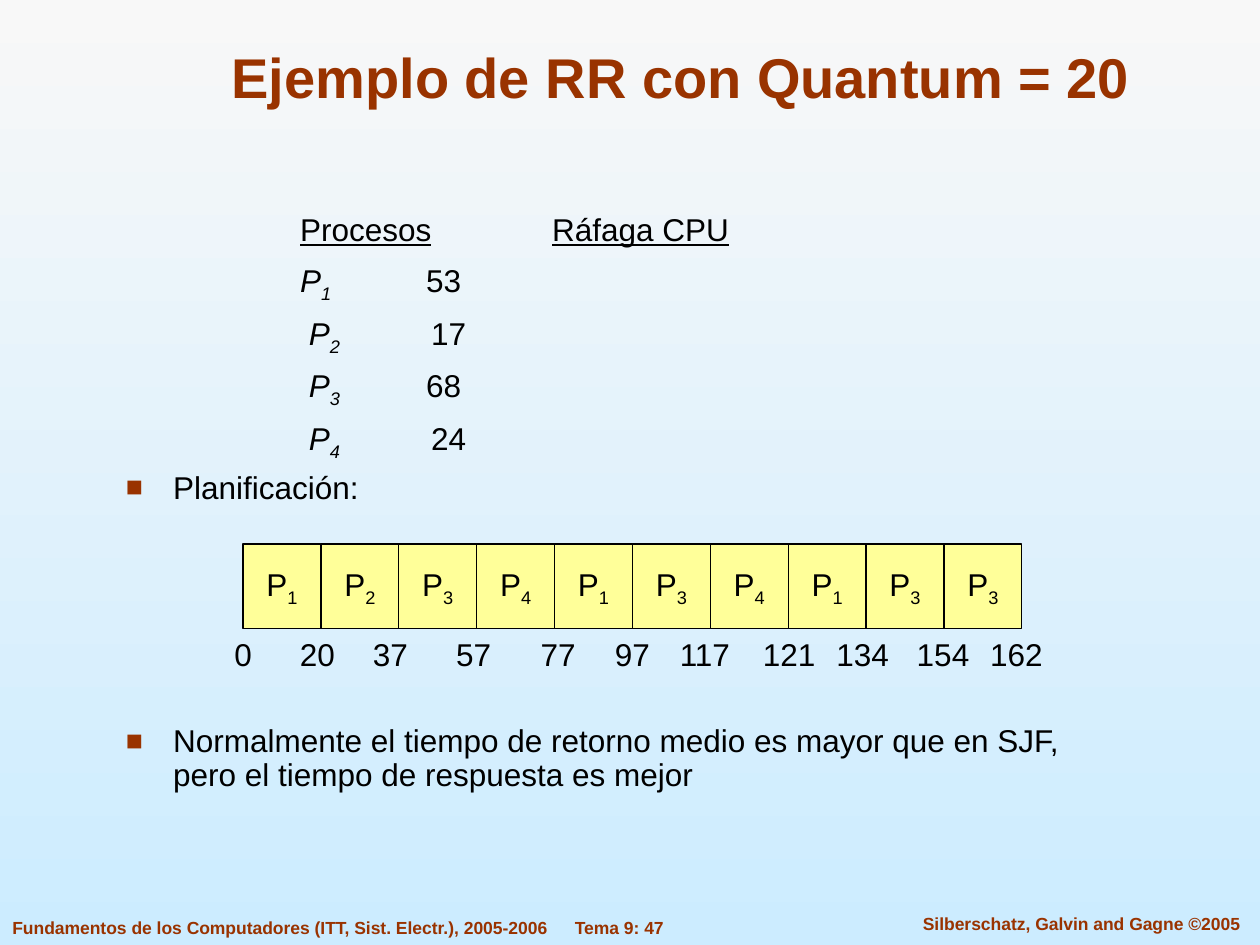
import dataclasses
import pptx
import pptx.dml.color
import pptx.enum.shapes
import pptx.enum.text
import pptx.util
from lxml import etree
from pptx.oxml.ns import qn
from pptx.util import Cm

FONT = "Arial"
RUST, BLACK, YELLOW = "993300", "000000", "FFFF99"
ALIGN = pptx.enum.text.PP_ALIGN
ANCHOR = pptx.enum.text.MSO_ANCHOR


@dataclasses.dataclass
class Box:
    left: float
    top: float
    width: float
    height: float


@dataclasses.dataclass
class Bit:
    text: str
    under: bool = False
    slant: bool = False
    sub: bool = False


@dataclasses.dataclass
class Label:
    text: str
    box: Box
    size: int = 10
    color: str = RUST
    bold: bool = True
    align: int = ALIGN.CENTER
    anchor: int = ANCHOR.TOP
    wrap: bool = False


def paint(target, code: str) -> None:
    target.rgb = pptx.dml.color.RGBColor.from_string(code)


def place(box: Box) -> tuple:
    return Cm(box.left), Cm(box.top), Cm(box.width), Cm(box.height)


def style(font, size: int, color: str, bold: bool = False) -> None:
    font.name, font.size, font.bold = FONT, pptx.util.Pt(size), bold
    paint(font.color, color)


def write(par, bits: list[Bit]) -> None:
    for bit in bits:
        run = par.add_run()
        run.text = bit.text
        style(run.font, 18, BLACK)
        run.font.underline, run.font.italic = bit.under, bit.slant
        if bit.sub:
            run._r.get_or_add_rPr().set("baseline", "-25000")


def add_label(slide, label: Label) -> None:
    frame = slide.shapes.add_textbox(*place(label.box)).text_frame
    frame.word_wrap, frame.vertical_anchor = label.wrap, label.anchor
    frame.text = label.text
    par = frame.paragraphs[0]
    par.alignment = label.align
    style(par.runs[0].font, label.size, label.color, label.bold)


def add_cell(slide, box: Box, num: int) -> None:
    cell = slide.shapes.add_shape(
        pptx.enum.shapes.MSO_SHAPE.RECTANGLE, *place(box))
    cell.shadow.inherit = False
    cell.fill.solid()
    paint(cell.fill.fore_color, YELLOW)
    paint(cell.line.color, BLACK)
    cell.line.width = pptx.util.Pt(0.75)
    frame = cell.text_frame
    frame.word_wrap, frame.vertical_anchor = False, ANCHOR.MIDDLE
    par = frame.paragraphs[0]
    par.alignment = ALIGN.CENTER
    write(par, [Bit("P"), Bit(str(num), sub=True)])


def set_tabs(par, stops: list[float]) -> None:
    tabs = etree.SubElement(par._p.get_or_add_pPr(), qn("a:tabLst"))
    for stop in stops:
        etree.SubElement(tabs, qn("a:tab"), pos=str(Cm(stop)), algn="l")


def set_bullet(par) -> None:
    props = par._p.get_or_add_pPr()
    props.set("marL", str(Cm(0.95)))
    props.set("indent", str(-Cm(0.95)))
    color = etree.SubElement(props, qn("a:buClr"))
    etree.SubElement(color, qn("a:srgbClr"), val=RUST)
    etree.SubElement(props, qn("a:buSzPct"), val="90000")
    etree.SubElement(props, qn("a:buFont"), typeface=FONT)
    etree.SubElement(props, qn("a:buChar"), char="■")


def add_body(slide) -> None:
    frame = slide.shapes.add_textbox(*place(Box(2.29, 4.19, 20.42, 12.45))).text_frame
    frame.word_wrap = True

    def next_par(before: float):
        par = frame.add_paragraph() if before else frame.paragraphs[0]
        par.space_before = pptx.util.Pt(before)
        par.line_spacing = 0.9
        return par

    # Process list
    head = next_par(0)
    set_tabs(head, [3.51, 8.59])
    write(head, [Bit("\t"), Bit("Procesos", under=True), Bit("\t"),
                 Bit("Ráfaga CPU", under=True)])
    rows = [("\t", "1\t", "53"), ("\t ", "2\t ", "17"),
            ("\t ", "3\t", "68"), ("\t ", "4\t ", "24")]
    for lead, num, burst in rows:
        par = next_par(7.9)
        set_tabs(par, [3.51, 6.05])
        write(par, [Bit(lead), Bit("P", slant=True),
                    Bit(num, slant=True, sub=True), Bit(burst)])

    # Bullets, with room for the chart between them
    notes = [("Planificación:", 7.9),
             ("Normalmente el tiempo de retorno medio es mayor que en SJF, "
              "pero el tiempo de respuesta es mejor", 125.4)]
    for text, before in notes:
        par = next_par(before)
        set_bullet(par)
        write(par, [Bit(text)])


def add_gantt(slide) -> None:
    wide = 1.57
    for col, num in enumerate([1, 2, 3, 4, 1, 3, 4, 1, 3, 3]):
        add_cell(slide, Box(4.9 + col * wide, 10.97, wide, 1.7), num)
    # Time marks: value and centre
    marks = [(0, 4.9), (20, 6.4), (37, 7.87), (57, 9.55), (77, 11.25),
             (97, 12.75), (117, 14.21), (121, 15.91), (134, 17.39),
             (154, 19.01), (162, 20.49)]
    for time, mid in marks:
        text = str(time)
        span = 0.52 + 0.35 * len(text)
        add_label(slide, Label(text, Box(mid - span / 2, 12.67, span, 1.02),
                               18, BLACK, False, anchor=ANCHOR.MIDDLE))


def main() -> None:
    deck = pptx.Presentation()
    deck.slide_width, deck.slide_height = Cm(25.4), Cm(19.05)
    slide = deck.slides.add_slide(deck.slide_layouts[6])

    # Background
    fill = slide.background.fill
    fill.gradient()
    fill.gradient_angle = 270
    for stop, spot, code in zip(fill.gradient_stops, (0, 1), ("F8F8F8", "CCECFF")):
        stop.position = spot
        paint(stop.color, code)

    # Footer and title
    labels = [
        Label("Tema 9: 47", Box(10.67, 18.36, 3.63, 0.69)),
        Label("Silberschatz, Galvin and Gagne ©2005",
              Box(18.03, 18.29, 7.54, 0.69), wrap=True),
        Label("Fundamentos de los Computadores (ITT, Sist. Electr.), 2005-2006",
              Box(0, 18.36, 11.33, 0.69), align=ALIGN.LEFT),
        Label("Ejemplo de RR con Quantum = 20", Box(2.54, 0, 22.38, 2.34), 32,
              anchor=ANCHOR.BOTTOM, wrap=True),
    ]
    for label in labels:
        add_label(slide, label)

    add_body(slide)
    add_gantt(slide)
    deck.save("out.pptx")


if __name__ == "__main__":
    main()
